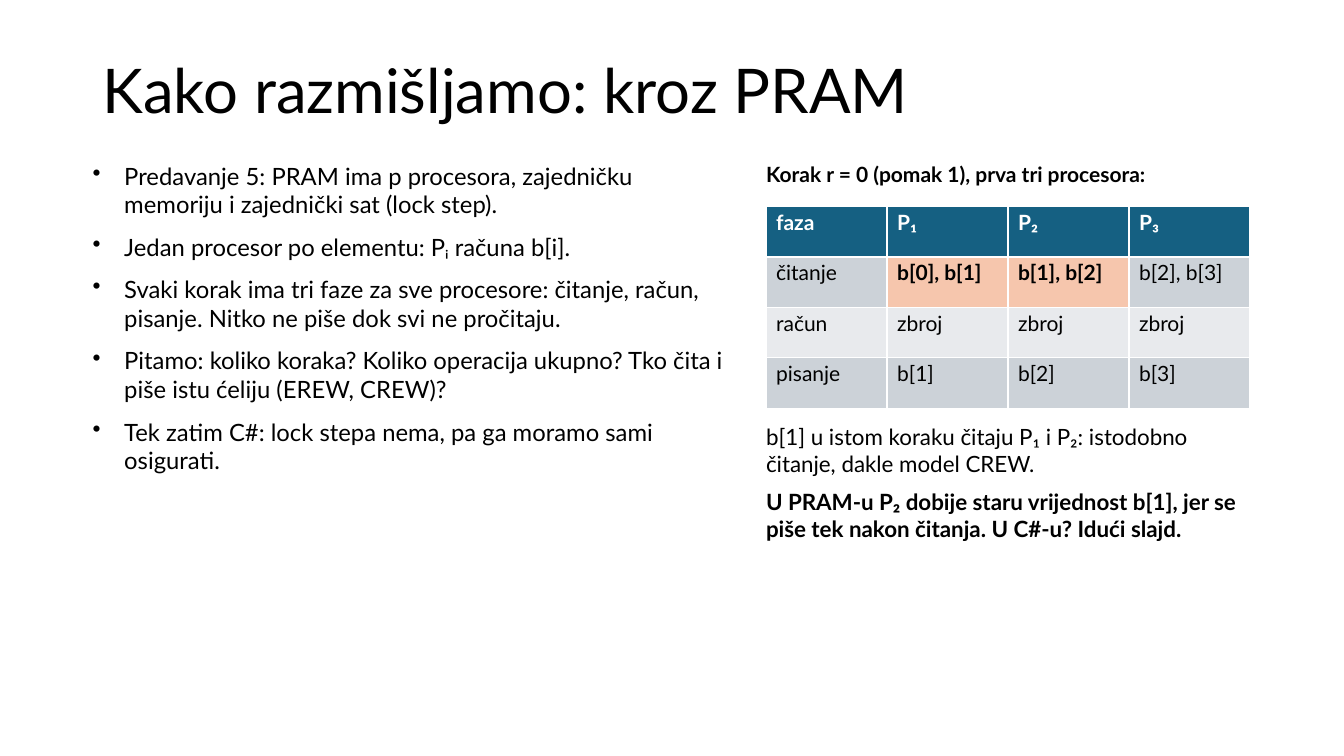
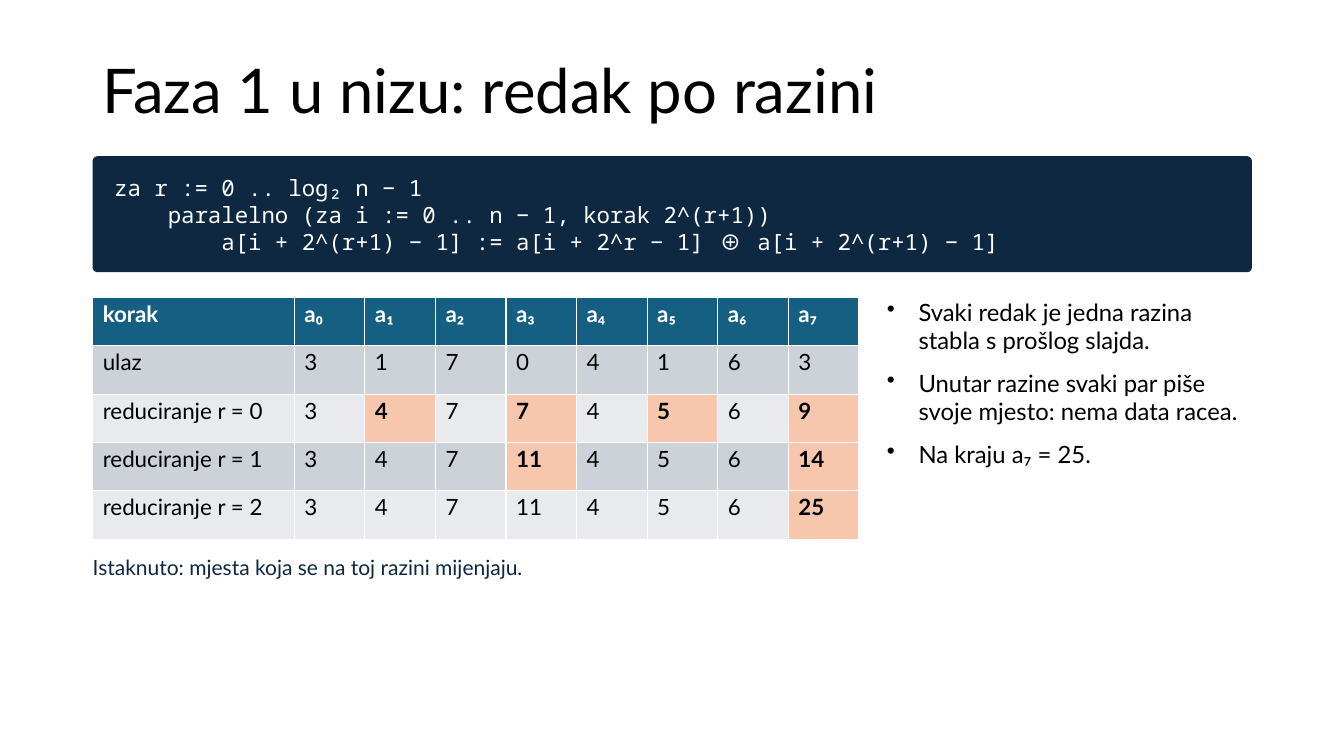
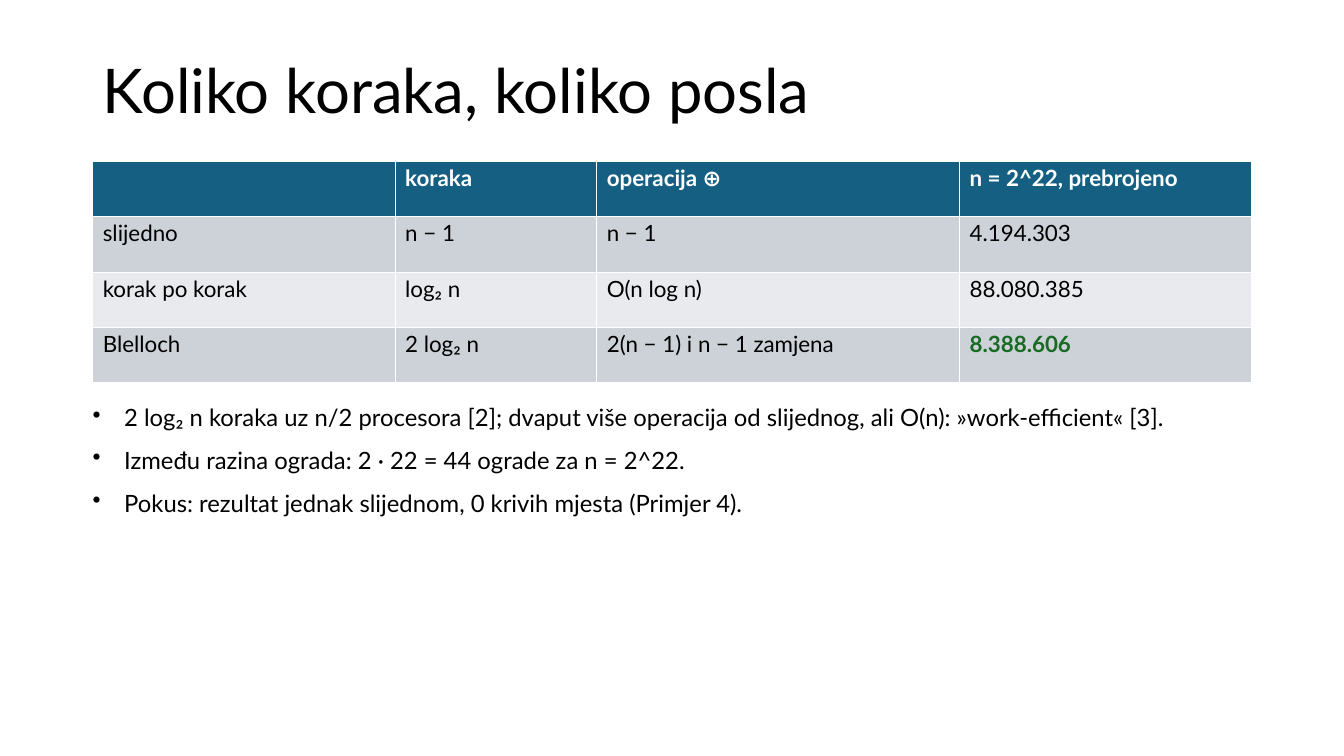
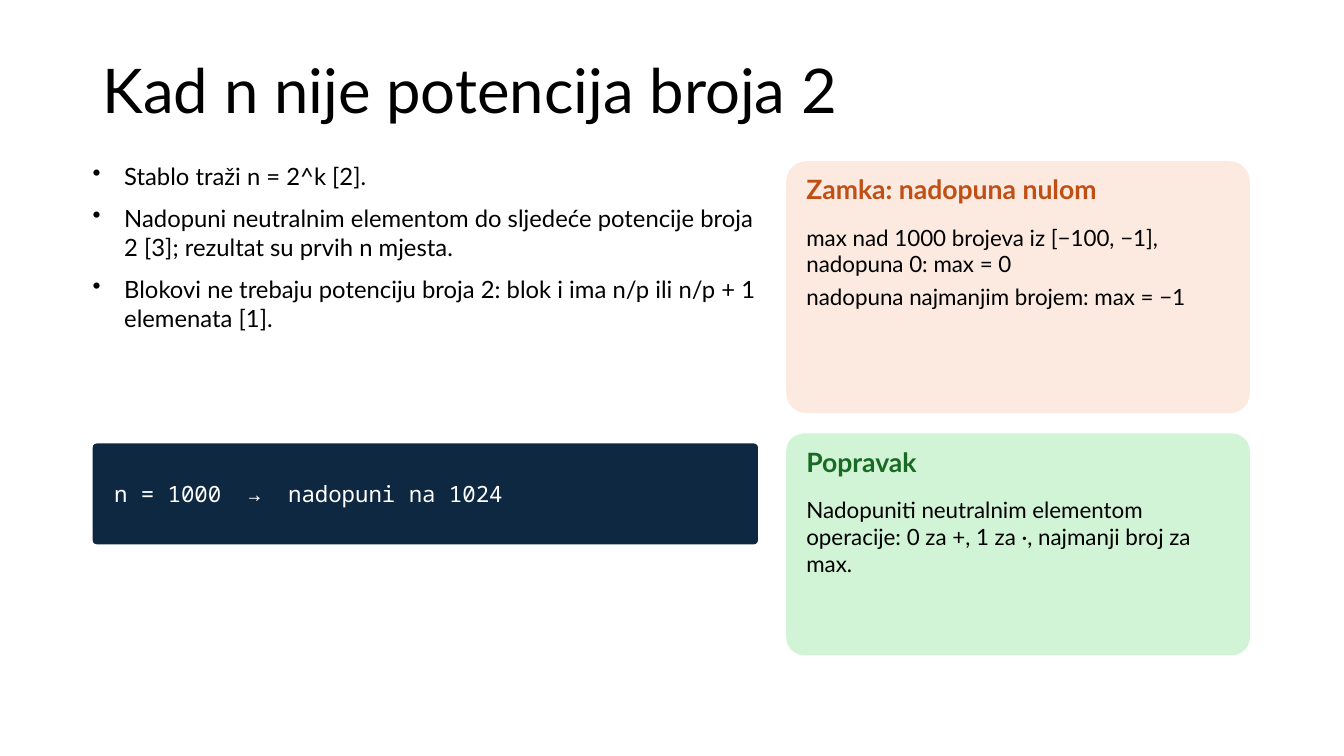
"""Build four slides on parallel prefix sums."""
from lxml.etree import SubElement
from pptx import Presentation
from pptx.dml.color import RGBColor
from pptx.enum.shapes import MSO_SHAPE as Shape
from pptx.enum.text import MSO_ANCHOR as Anchor, PP_ALIGN as Align
from pptx.oxml.ns import qn
from pptx.util import Pt

BLACK = RGBColor(0x00, 0x00, 0x00)
WHITE = RGBColor(0xFF, 0xFF, 0xFF)
NAVY = RGBColor(0x0E, 0x28, 0x41)
TEAL = RGBColor(0x15, 0x60, 0x82)
GREEN = RGBColor(0x19, 0x6B, 0x24)
ORANGE = RGBColor(0xC0, 0x4F, 0x15)
BAND_DARK = RGBColor(0xCC, 0xD2, 0xD8)
BAND_LIGHT = RGBColor(0xE8, 0xEA, 0xED)
PEACH = RGBColor(0xF6, 0xC6, 0xAD)
PALE_ORANGE = RGBColor(0xFC, 0xEA, 0xE0)
PALE_GREEN = RGBColor(0xD1, 0xF4, 0xD6)

BODY_FONT = "Lato"
CODE_FONT = "Noto Sans Mono"
LEFT = 66.24
WIDTH = 828
TOP = 115.2
INDENT = 22.5


def add_span(para, text, size, color=BLACK, bold=False, font=BODY_FONT):
    """Add one formatted run to a paragraph."""
    span = para.add_run()
    span.text = text
    span.font.name = font
    span.font.size = Pt(size)
    span.font.bold = bold
    span.font.color.rgb = color


def set_margins(holder, left, top, right, bottom):
    """Set the four inner margins of a text frame or cell."""
    holder.margin_left, holder.margin_top = Pt(left), Pt(top)
    holder.margin_right, holder.margin_bottom = Pt(right), Pt(bottom)


def next_para(frame, index):
    """Return the first paragraph of a frame or a new one."""
    return frame.add_paragraph() if index else frame.paragraphs[0]


def add_box(page, left, top, width, height):
    """Add a wrapping text box without margins and return its frame."""
    box = page.shapes.add_textbox(Pt(left), Pt(top), Pt(width), Pt(height))
    frame = box.text_frame
    frame.word_wrap = True
    set_margins(frame, 0, 0, 0, 0)
    return frame


def add_text(page, area, texts, size, color=BLACK, bold=(), after=0):
    """Add plain paragraphs, those whose index is in bold set in bold."""
    frame = add_box(page, *area)
    for index, text in enumerate(texts):
        para = next_para(frame, index)
        para.space_after = Pt(after)
        add_span(para, text, size, color, index in bold)


def add_bullets(page, area, texts):
    """Add a bulleted list."""
    frame = add_box(page, *area)
    for index, text in enumerate(texts):
        para = next_para(frame, index)
        props = para._p.get_or_add_pPr()
        props.set("marL", str(Pt(INDENT)))
        props.set("indent", str(-Pt(INDENT)))
        SubElement(props, qn("a:buChar"), char="•")
        para.space_after = Pt(10)
        add_span(para, text, 17)


def add_panel(page, area, fill, rounding):
    """Add a filled rounded rectangle without an outline."""
    panel = page.shapes.add_shape(Shape.ROUNDED_RECTANGLE, *map(Pt, area))
    panel.adjustments[0] = rounding
    panel.shadow.inherit = False
    panel.fill.solid()
    panel.fill.fore_color.rgb = fill
    panel.line.fill.background()
    return panel


def add_code(page, area, lines):
    """Add a dark panel with lines of code."""
    frame = add_panel(page, area, NAVY, 0.04).text_frame
    frame.word_wrap = True
    frame.vertical_anchor = Anchor.MIDDLE
    set_margins(frame, 14.4, 3.6, 7.2, 3.6)
    for index, line in enumerate(lines):
        para = next_para(frame, index)
        para.alignment = Align.LEFT
        add_span(para, line, 16, WHITE, font=CODE_FONT)


def add_card(page, top, height, fill, color, heading, texts):
    """Add a coloured card with a heading and short text."""
    left, width = 561.6, 331.2
    add_panel(page, (left, top, width, height), fill, 0.08)
    inner, room = left + 14.4, width - 28.8
    add_text(page, (inner, top + 8.64, room, 32.4), [heading], 19, color, {0})
    add_text(page, (inner, top + 44.64, room, height - 50.4), texts, 16, after=4)


def add_grid(page, left, top, widths, row_height, rows, size, marked=(), good=()):
    """Add a banded table with marked cells and cells in green."""
    frame = page.shapes.add_table(
        len(rows), len(widths), Pt(left), Pt(top), Pt(sum(widths)), Pt(row_height * len(rows)))
    grid = frame.table
    for column, width in zip(grid.columns, widths):
        column.width = Pt(width)
    for r, texts in enumerate(rows):
        grid.rows[r].height = Pt(row_height)
        band = BAND_DARK if r % 2 else BAND_LIGHT
        for c, text in enumerate(texts):
            place = (r, c)
            cell = grid.cell(r, c)
            set_margins(cell, 7.2, 2.16, 7.2, 2.16)
            cell.fill.solid()
            cell.fill.fore_color.rgb = TEAL if r == 0 else PEACH if place in marked else band
            if text:
                color = WHITE if r == 0 else GREEN if place in good else BLACK
                bold = r == 0 or place in marked or place in good
                add_span(cell.text_frame.paragraphs[0], text, size, color, bold)


def add_page(deck, title):
    """Add a blank slide with the shared title."""
    page = deck.slides.add_slide(deck.slide_layouts[6])
    frame = add_box(page, LEFT, 28.8, WIDTH, 76.32)
    set_margins(frame, 7.2, 3.6, 7.2, 3.6)
    frame.vertical_anchor = Anchor.MIDDLE
    frame.paragraphs[0].line_spacing = 0.9
    add_span(frame.paragraphs[0], title, 44)
    return page


def add_pram_page(deck):
    """Build the slide on the PRAM model."""
    page = add_page(deck, "Kako razmišljamo: kroz PRAM")
    add_bullets(page, (LEFT, TOP, 453.6, 352.8), [
        "Predavanje 5: PRAM ima p procesora, zajedničku memoriju i zajednički sat (lock step).",
        "Jedan procesor po elementu: Pᵢ računa b[i].",
        "Svaki korak ima tri faze za sve procesore: čitanje, račun, pisanje. "
        "Nitko ne piše dok svi ne pročitaju.",
        "Pitamo: koliko koraka? Koliko operacija ukupno? Tko čita i piše istu ćeliju (EREW, CREW)?",
        "Tek zatim C#: lock stepa nema, pa ga moramo sami osigurati.",
    ])
    left, width = 547.2, 345.6
    add_text(page, (left, TOP, width, 28.8),
             ["Korak r = 0 (pomak 1), prva tri procesora:"], 15, bold={0})
    add_grid(page, left, 147.6, [width / 4] * 4, 36, [
        ["faza", "P₁", "P₂", "P₃"],
        ["čitanje", "b[0], b[1]", "b[1], b[2]", "b[2], b[3]"],
        ["račun", "zbroj", "zbroj", "zbroj"],
        ["pisanje", "b[1]", "b[2]", "b[3]"],
    ], 15, marked={(1, 1), (1, 2)})
    add_text(page, (left, 302.4, width, 165.6), [
        "b[1] u istom koraku čitaju P₁ i P₂: istodobno čitanje, dakle model CREW.",
        "U PRAM-u P₂ dobije staru vrijednost b[1], jer se piše tek nakon čitanja. "
        "U C#-u? Idući slajd.",
    ], 16, bold={1}, after=8)


def add_reduction_page(deck):
    """Build the slide on the reduction phase."""
    page = add_page(deck, "Faza 1 u nizu: redak po razini")
    add_code(page, (LEFT, 111.6, WIDTH, 82.8), [
        "za r := 0 .. log₂ n − 1",
        "    paralelno (za i := 0 .. n − 1, korak 2^(r+1))",
        "        a[i + 2^(r+1) − 1] := a[i + 2^r − 1] ⊕ a[i + 2^(r+1) − 1]",
    ])
    add_grid(page, LEFT, 212.4, [144] + [50.4] * 8, 34.56, [
        ["korak", *("a" + digit for digit in "₀₁₂₃₄₅₆₇")],
        ["ulaz", *"31704163"],
        ["reduciranje r = 0", *"34774569"],
        ["reduciranje r = 1", "3", "4", "7", "11", "4", "5", "6", "14"],
        ["reduciranje r = 2", "3", "4", "7", "11", "4", "5", "6", "25"],
    ], 16, marked={(2, 2), (2, 4), (2, 6), (2, 8), (3, 4), (3, 8), (4, 8)})
    add_bullets(page, (633.6, 212.4, 259.2, 259.2), [
        "Svaki redak je jedna razina stabla s prošlog slajda.",
        "Unutar razine svaki par piše svoje mjesto: nema data racea.",
        "Na kraju a₇ = 25.",
    ])
    add_text(page, (LEFT, 396, 547.2, 64.8),
             ["Istaknuto: mjesta koja se na toj razini mijenjaju."], 15, NAVY)


def add_cost_page(deck):
    """Build the slide comparing steps and work."""
    page = add_page(deck, "Koliko koraka, koliko posla")
    add_grid(page, LEFT, TOP, [216, 144, 259.2, 208.8], 39.6, [
        ["", "koraka", "operacija ⊕", "n = 2^22, prebrojeno"],
        ["slijedno", "n − 1", "n − 1", "4.194.303"],
        ["korak po korak", "log₂ n", "O(n log n)", "88.080.385"],
        ["Blelloch", "2 log₂ n", "2(n − 1) i n − 1 zamjena", "8.388.606"],
    ], 16, good={(3, 3)})
    add_bullets(page, (LEFT, 288, WIDTH, 187.2), [
        "2 log₂ n koraka uz n/2 procesora [2]; dvaput više operacija od slijednog, "
        "ali O(n): »work-efficient« [3].",
        "Između razina ograda: 2 · 22 = 44 ograde za n = 2^22.",
        "Pokus: rezultat jednak slijednom, 0 krivih mjesta (Primjer 4).",
    ])


def add_padding_page(deck):
    """Build the slide on padding to a power of two."""
    page = add_page(deck, "Kad n nije potencija broja 2")
    add_bullets(page, (LEFT, TOP, 475.2, 216), [
        "Stablo traži n = 2^k [2].",
        "Nadopuni neutralnim elementom do sljedeće potencije broja 2 [3]; "
        "rezultat su prvih n mjesta.",
        "Blokovi ne trebaju potenciju broja 2: blok i ima n/p ili n/p + 1 elemenata [1].",
    ])
    add_code(page, (LEFT, 316.8, 475.2, 72), ["n = 1000  →  nadopuni na 1024"])
    add_card(page, TOP, 180, PALE_ORANGE, ORANGE, "Zamka: nadopuna nulom", [
        "max nad 1000 brojeva iz [−100, −1], nadopuna 0: max = 0",
        "nadopuna najmanjim brojem: max = −1",
    ])
    add_card(page, 309.6, 158.4, PALE_GREEN, GREEN, "Popravak", [
        "Nadopuniti neutralnim elementom operacije: 0 za +, 1 za ·, najmanji broj za max.",
    ])


def main():
    """Build and save the deck."""
    deck = Presentation()
    deck.slide_width, deck.slide_height = Pt(960), Pt(540)
    add_pram_page(deck)
    add_reduction_page(deck)
    add_cost_page(deck)
    add_padding_page(deck)
    deck.save("out.pptx")


if __name__ == "__main__":
    main()
